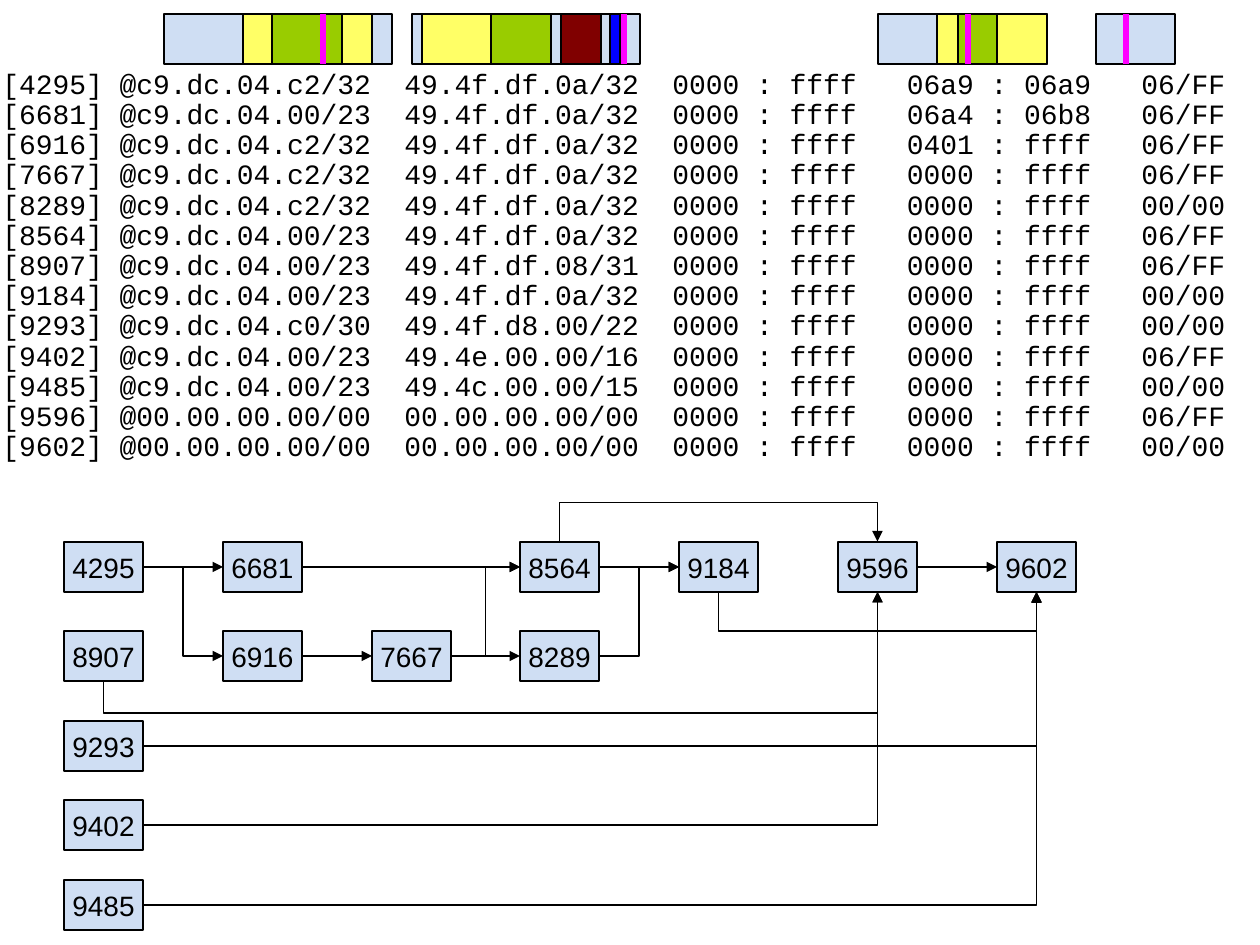
"""Build the slide of filter rules, their field bars and the rule graph."""
import lxml.etree
import pptx
import pptx.dml.color
import pptx.enum.shapes
import pptx.enum.text
import pptx.oxml.ns
import pptx.util

SCALE = 914400 / 126
TOP, LEFT, BASE, RIGHT = range(4)
PALE, YELLOW, GREEN = "CFDEF3", "FFFF66", "99CC00"
MAROON, BLUE, PINK, BLACK = "800000", "0000FF", "FF00FF", "000000"

RULES = [
    "[4295] @c9.dc.04.c2/32  49.4f.df.0a/32  0000 : ffff   06a9 : 06a9   06/FF",
    "[6681] @c9.dc.04.00/23  49.4f.df.0a/32  0000 : ffff   06a4 : 06b8   06/FF",
    "[6916] @c9.dc.04.c2/32  49.4f.df.0a/32  0000 : ffff   0401 : ffff   06/FF",
    "[7667] @c9.dc.04.c2/32  49.4f.df.0a/32  0000 : ffff   0000 : ffff   06/FF",
    "[8289] @c9.dc.04.c2/32  49.4f.df.0a/32  0000 : ffff   0000 : ffff   00/00",
    "[8564] @c9.dc.04.00/23  49.4f.df.0a/32  0000 : ffff   0000 : ffff   06/FF",
    "[8907] @c9.dc.04.00/23  49.4f.df.08/31  0000 : ffff   0000 : ffff   06/FF",
    "[9184] @c9.dc.04.00/23  49.4f.df.0a/32  0000 : ffff   0000 : ffff   00/00",
    "[9293] @c9.dc.04.c0/30  49.4f.d8.00/22  0000 : ffff   0000 : ffff   00/00",
    "[9402] @c9.dc.04.00/23  49.4e.00.00/16  0000 : ffff   0000 : ffff   06/FF",
    "[9485] @c9.dc.04.00/23  49.4c.00.00/15  0000 : ffff   0000 : ffff   00/00",
    "[9596] @00.00.00.00/00  00.00.00.00/00  0000 : ffff   0000 : ffff   06/FF",
    "[9602] @00.00.00.00/00  00.00.00.00/00  0000 : ffff   0000 : ffff   00/00",
]

BARS = [
    ([(164, 228, PALE), (243, 129, YELLOW), (272, 70, GREEN)], 323),
    ([(412, 228, PALE), (422, 69, YELLOW), (491, 60, GREEN),
      (561, 40, MAROON), (610, 10, BLUE)], 624),
    ([(878, 169, PALE), (937, 110, YELLOW), (958, 39, GREEN)], 968),
    ([(1096, 79, PALE)], 1126),
]

NODES = {
    542: {"4295": 64, "6681": 223, "8564": 520, "9184": 679, "9596": 838, "9602": 997},
    631: {"8907": 64, "6916": 223, "7667": 372, "8289": 520},
    721: {"9293": 64},
    800: {"9402": 64},
    880: {"9485": 64},
}

FLAT = [("4295", "6681"), ("6916", "7667"), ("7667", "8289"), ("6681", "8564"),
        ("8564", "9184"), ("9596", "9602")]
STEPS = [("4295", "6916"), ("7667", "8564"), ("8289", "9184")]
TURNS = [("9402", "9596"), ("9293", "9602"), ("9485", "9602")]
LOOPS = [("8907", "9596", BASE, 713), ("8564", "9596", TOP, 502),
         ("9184", "9602", BASE, 632)]


def px(num):
    """Turn pixels into EMU."""
    return pptx.util.Emu(round(num * SCALE))


def tint(code):
    """Turn a hex string into a colour."""
    return pptx.dml.color.RGBColor.from_string(code)


def tag(name):
    """Give the full name of a drawing tag."""
    return pptx.oxml.ns.qn("a:" + name)


class Board:
    """Holds the style and the current slide."""

    def __init__(self, deck):
        """Start a blank slide."""
        self.slide = deck.slides.add_slide(deck.slide_layouts[6])
        self.shapes = self.slide.shapes
        self.size = pptx.util.Pt(16)
        self.thin = pptx.util.Pt(0.75)

    def run(self, para, text, font):
        """Add one styled run to a paragraph."""
        run = para.add_run()
        run.text = text
        run.font.size = self.size
        run.font.name = font
        run.font.color.rgb = tint(BLACK)

    def text(self, left, top, wide, high, lines):
        """Add a block of fixed-pitch lines."""
        frame = self.shapes.add_textbox(px(left), px(top), px(wide), px(high)).text_frame
        frame.word_wrap = False
        frame.auto_size = pptx.enum.text.MSO_AUTO_SIZE.SHAPE_TO_FIT_TEXT
        for num, line in enumerate(lines):
            para = frame.add_paragraph() if num else frame.paragraphs[0]
            para.line_spacing = 0.9
            self.run(para, line, "Courier New")

    def rect(self, left, top, wide, high, fill):
        """Add an outlined rectangle."""
        kind = pptx.enum.shapes.MSO_SHAPE.RECTANGLE
        rect = self.shapes.add_shape(kind, px(left), px(top), px(wide), px(high))
        rect.shadow.inherit = False
        rect.fill.solid()
        rect.fill.fore_color.rgb = tint(fill)
        rect.line.color.rgb = tint(BLACK)
        rect.line.width = self.thin
        return rect

    def node(self, left, top, text):
        """Add a labelled rule box."""
        node = self.rect(left, top, 79, 50, PALE)
        frame = node.text_frame
        frame.word_wrap = False
        frame.vertical_anchor = pptx.enum.text.MSO_ANCHOR.MIDDLE
        frame.margin_top = frame.margin_bottom = px(3)
        para = frame.paragraphs[0]
        para.alignment = pptx.enum.text.PP_ALIGN.CENTER
        self.run(para, text, "Arial")
        return node

    def line(self, kind, ends, color, width):
        """Add a plain connector."""
        line = self.shapes.add_connector(kind, *map(px, ends))
        line.line.color.rgb = tint(color)
        line.line.width = width
        lxml.etree.SubElement(line.element.spPr, tag("effectLst"))
        return line

    def mark(self, left, top, high):
        """Add an upright marker."""
        kind = pptx.enum.shapes.MSO_CONNECTOR.STRAIGHT
        self.line(kind, (left, top, left, top + high), PINK, pptx.util.Pt(3))

    def link(self, tail, head, out=RIGHT, into=LEFT, bent=True):
        """Join two boxes with an arrow."""
        kinds = pptx.enum.shapes.MSO_CONNECTOR
        kind = kinds.ELBOW if bent else kinds.STRAIGHT
        link = self.line(kind, (0, 0, 0, 0), BLACK, self.thin)
        link.begin_connect(tail, out)
        link.end_connect(head, into)
        edge = link.element.spPr.find(tag("ln"))
        lxml.etree.SubElement(edge, tag("tailEnd"), type="triangle")
        return link

    def turn(self, tail, head):
        """Join a box's right side to a base with one corner."""
        link = self.link(tail, head, RIGHT, BASE)
        link.element.spPr.find(tag("prstGeom")).set("prst", "bentConnector2")

    def loop(self, tail, head, side, level):
        """Join the same side of two boxes by way of a level."""
        link = self.link(tail, head, side, side)
        x, y, far, end = link.begin_x, link.begin_y, link.end_x, link.end_y
        rise = side == TOP or end < y
        wide, high = max(abs(end - y), px(1)), far - x
        link.left = round((x + far - wide) / 2)
        link.top = round((y + end - high) / 2)
        link.width, link.height = wide, high
        form = link.element.spPr.find(tag("xfrm"))
        form.set("rot", "5400000" if rise else "16200000")
        form.set("flipH", "1")
        form.set("flipV", "1" if rise else "0")
        ratio = (y - px(level) if rise else px(level) - y) / wide
        marks = link.element.spPr.find(tag("prstGeom")).find(tag("avLst"))
        lxml.etree.SubElement(marks, tag("gd"), name="adj1",
                              fmla=f"val {round(ratio * 100000)}")


def main():
    """Build and save the slide."""
    deck = pptx.Presentation()
    deck.slide_width, deck.slide_height = px(1260), px(945)
    board = Board(deck)
    board.text(-10, 64, 1252, 406, RULES)
    for parts, spot in BARS:
        for left, wide, fill in parts:
            board.rect(left, 14, wide, 50, fill)
        board.mark(spot, 14, 50)
    nodes = {name: board.node(left, top, name)
             for top, row in NODES.items() for name, left in row.items()}
    for tail, head in FLAT:
        board.link(nodes[tail], nodes[head], bent=False)
    for tail, head in STEPS:
        board.link(nodes[tail], nodes[head])
    for tail, head in TURNS:
        board.turn(nodes[tail], nodes[head])
    for tail, head, side, level in LOOPS:
        board.loop(nodes[tail], nodes[head], side, level)
    deck.save("out.pptx")


if __name__ == "__main__":
    main()
